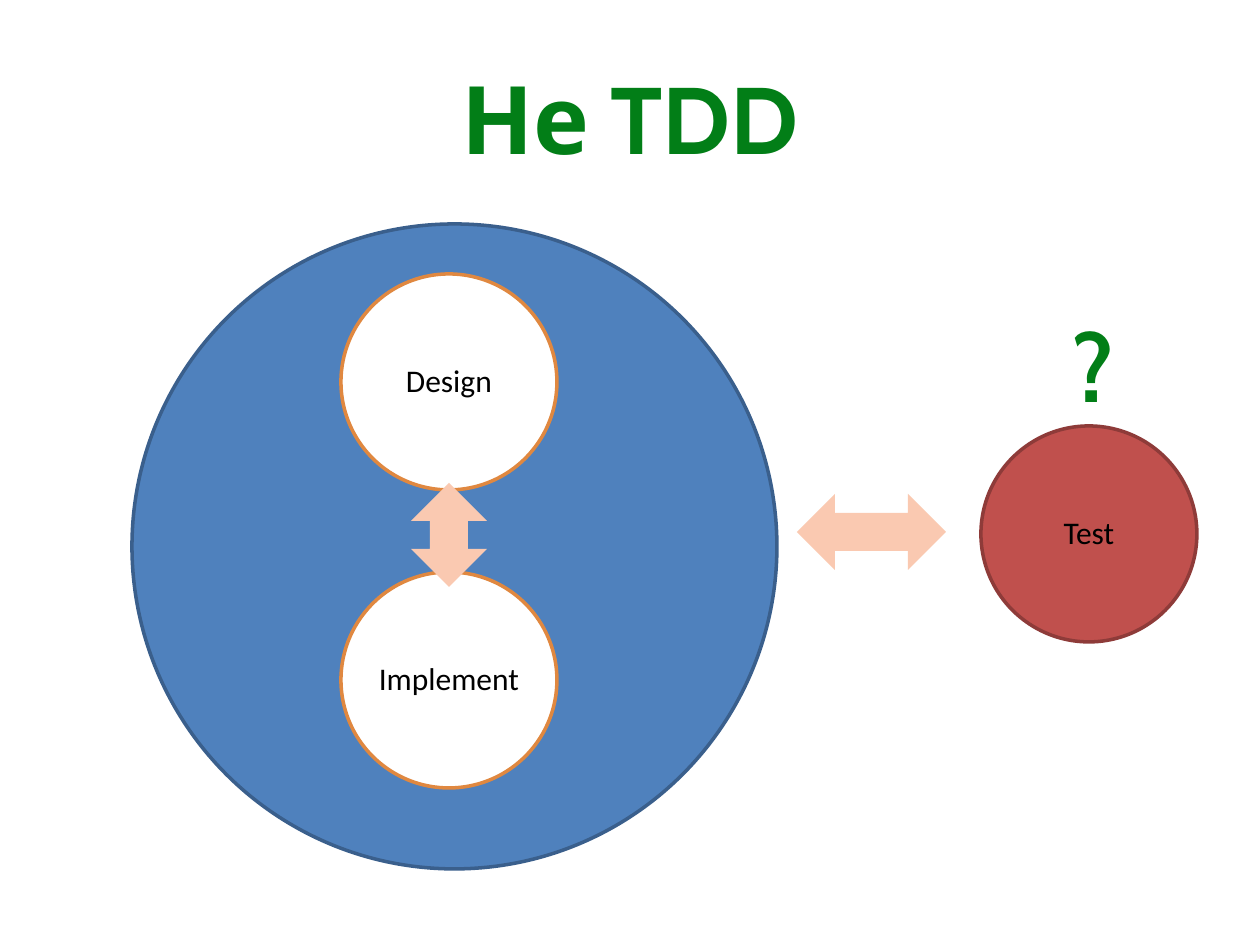
from dataclasses import dataclass

from pptx import Presentation, util as u
from pptx.dml.color import RGBColor
from pptx.enum import shapes, text

PX = u.Inches(1) // 126


@dataclass(frozen=True)
class Theme:
    green: str = "027E17"
    black: str = "000000"
    white: str = "FFFFFF"
    blue: str = "4F81BD"
    navy: str = "3A5F8C"
    orange: str = "E08840"
    red: str = "C0504D"
    wine: str = "8E3B39"
    peach: str = "FAC9B1"
    head: str = "Cabin"
    body: str = "Calibri"
    large: int = 54
    small: int = 18


T = Theme()
Kind = shapes.MSO_SHAPE


def scale(*box):
    return [n * PX for n in box]


def write(shape, words, font, size, color, bold=False, inset=(12, 6)):
    frame = shape.text_frame
    frame.word_wrap = True
    frame.vertical_anchor = text.MSO_ANCHOR.MIDDLE
    frame.margin_left = frame.margin_right = inset[0] * PX
    frame.margin_top = frame.margin_bottom = inset[1] * PX
    frame.text = words
    line = frame.paragraphs[0]
    line.alignment = text.PP_ALIGN.CENTER
    face = line.runs[0].font
    face.name, face.size, face.bold = font, u.Pt(size), bold
    face.color.rgb = RGBColor.from_string(color)
    return line


def label(slide, box, words):
    shape = slide.shapes.add_textbox(*scale(*box))
    write(shape, words, T.head, T.large, T.green, True)


def solid(slide, kind, box, fill, edge=None):
    shape = slide.shapes.add_shape(kind, *scale(*box))
    shape.shadow.inherit = False
    shape.fill.solid()
    shape.fill.fore_color.rgb = RGBColor.from_string(fill)
    if edge:
        shape.line.color.rgb = RGBColor.from_string(edge)
        shape.line.width = u.Pt(2)
    else:
        shape.line.fill.background()
    return shape


def step(slide, left, top, words, fill, edge):
    disc = solid(slide, Kind.OVAL, (left, top, 216, 216), fill, edge)
    line = write(disc, words, T.body, T.small, T.black, inset=(4, 4))
    line.line_spacing = 0.9


def arrow(slide, box, turn=0):
    shape = solid(slide, Kind.LEFT_RIGHT_ARROW, box, T.peach)
    shape.rotation = turn


def main():
    deck = Presentation()
    deck.slide_width, deck.slide_height = scale(1260, 945)
    slide = deck.slides.add_slide(deck.slide_layouts[6])
    solid(slide, Kind.OVAL, (132, 224, 645, 645), T.blue, T.navy)
    label(slide, (63, 38, 1134, 157), "Не TDD")
    step(slide, 341, 274, "Design", T.white, T.orange)
    step(slide, 981, 426, "Test", T.red, T.wine)
    step(slide, 341, 572, "Implement", T.white, T.orange)
    label(slide, (1052, 304, 82, 121), "?")
    arrow(slide, (797, 494, 149, 76))
    arrow(slide, (397, 497, 104, 76), 90)
    deck.save("out.pptx")


main()
